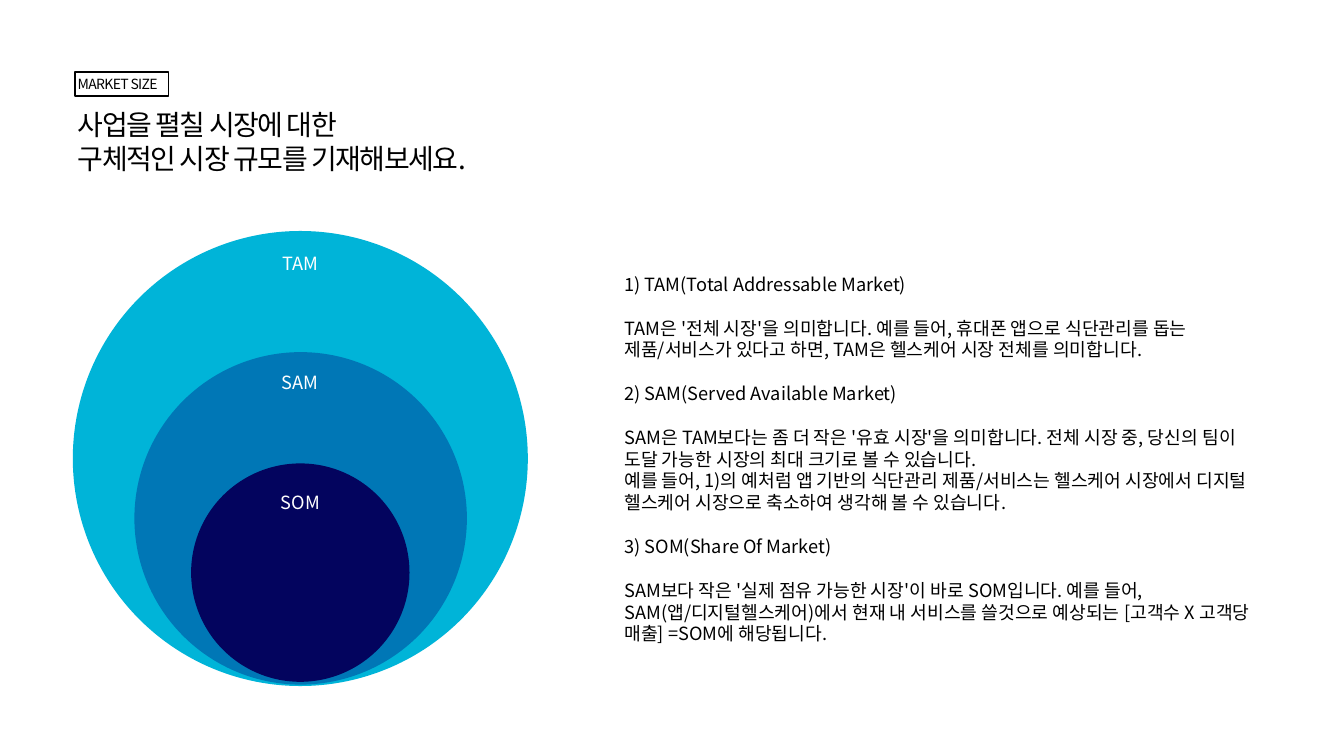
from dataclasses import dataclass

from pptx import Presentation
from pptx.dml.color import RGBColor
from pptx.enum.shapes import MSO_SHAPE
from pptx.enum.text import MSO_ANCHOR, MSO_AUTO_SIZE, PP_ALIGN
from pptx.oxml.ns import qn
from pptx.util import Emu, Pt

RECTANGLE, OVAL = MSO_SHAPE.RECTANGLE, MSO_SHAPE.OVAL
TOP, MIDDLE = MSO_ANCHOR.TOP, MSO_ANCHOR.MIDDLE
LEFT, CENTER = PP_ALIGN.LEFT, PP_ALIGN.CENTER
EMU_PER_PX = 12700  # 72 px to the inch
TITLE_ONLY = 5


@dataclass(frozen=True)
class Theme:
    font: str = "Noto Sans CJK KR"
    ink: str = "000000"
    paper: str = "FFFFFF"
    tam: str = "00B4D8"
    sam: str = "0077B6"
    som: str = "03045E"
    title_size: int = 40
    tag_size: int = 20
    body_size: int = 26
    leading: float = 1.2


def px(length):
    return Emu(length * EMU_PER_PX)


class SlideBuilder:
    def __init__(self, slide, theme):
        self.slide, self.theme = slide, theme

    def set_text(self, shape, lines, size, color, align=LEFT, anchor=MIDDLE, wrap=True, tracking=0):
        """Fill a shape with one paragraph per line; tracking is in points."""
        frame = shape.text_frame
        frame.text = "\n".join(lines)
        frame.word_wrap = wrap
        frame.auto_size = MSO_AUTO_SIZE.NONE
        frame.vertical_anchor = anchor
        frame.margin_left = frame.margin_right = px(4)
        frame.margin_top = frame.margin_bottom = px(4)
        for paragraph in frame.paragraphs:
            paragraph.alignment = align
            paragraph.line_spacing = Pt(size * self.theme.leading)
            paragraph.font.size = Pt(size)
            paragraph.font.name = self.theme.font
            paragraph.font.color.rgb = RGBColor.from_string(color)
            for run in paragraph.runs:
                properties = run._r.get_or_add_rPr()
                if tracking:
                    properties.set("spc", str(tracking * 100))
                properties.append(properties.makeelement(qn("a:ea"), {"typeface": self.theme.font}))
        return frame.paragraphs

    def title(self, left, top, width, height, lines):
        title = self.slide.shapes.title
        title.left, title.top, title.width, title.height = map(px, (left, top, width, height))
        self.set_text(title, lines, self.theme.title_size, self.theme.ink, anchor=TOP, tracking=-2)

    def tag(self, left, top, width, height, label):
        tag = self.slide.shapes.add_shape(RECTANGLE, *map(px, (left, top, width, height)))
        tag.shadow.inherit = False
        tag.fill.background()
        tag.line.color.rgb = RGBColor.from_string(self.theme.ink)
        tag.line.width = Pt(2)
        self.set_text(tag, [label], self.theme.tag_size, self.theme.ink, wrap=False, tracking=-1)

    def circle(self, center_x, top, diameter, color):
        left = center_x - diameter // 2
        circle = self.slide.shapes.add_shape(OVAL, *map(px, (left, top, diameter, diameter)))
        circle.shadow.inherit = False
        circle.fill.solid()
        circle.fill.fore_color.rgb = RGBColor.from_string(color)
        circle.line.fill.background()

    def text(self, left, top, width, height, lines, color, **style):
        box = self.slide.shapes.add_textbox(*map(px, (left, top, width, height)))
        return self.set_text(box, lines, self.theme.body_size, color, **style)

    def sections(self, left, top, width, height, sections):
        """Add headed sections with one line of space around each heading."""
        lines = [line for heading, body in sections for line in (heading, *body)]
        headings = {heading for heading, _ in sections}
        gap = Pt(self.theme.body_size * self.theme.leading)
        paragraphs = self.text(left, top, width, height, lines, self.theme.ink)
        for index, paragraph in enumerate(paragraphs):
            if paragraph.text in headings:
                paragraph.space_after = gap
                if index:
                    paragraph.space_before = gap


SECTIONS = [
    ("1) TAM(Total Addressable Market)", [
        "TAM은 '전체 시장'을 의미합니다. 예를 들어, 휴대폰 앱으로 식단관리를 돕는 "
        "제품/서비스가 있다고 하면, TAM은 헬스케어 시장 전체를 의미합니다.",
    ]),
    ("2) SAM(Served Available Market)", [
        "SAM은 TAM보다는 좀 더 작은 '유효 시장'을 의미합니다. 전체 시장 중, 당신의 "
        "팀이 도달 가능한 시장의 최대 크기로 볼 수 있습니다.",
        "예를 들어, 1)의 예처럼 앱 기반의 식단관리 제품/서비스는 헬스케어 시장에서 "
        "디지털 헬스케어 시장으로 축소하여 생각해 볼 수 있습니다.",
    ]),
    ("3) SOM(Share Of Market)", [
        "SAM보다 작은 '실제 점유 가능한 시장'이 바로 SOM입니다. 예를 들어, "
        "SAM(앱/디지털헬스케어)에서 현재 내 서비스를 쓸것으로 예상되는 [고객수 X "
        "고객당 매출] =SOM에 해당됩니다.",
    ]),
]


def main():
    theme = Theme()
    deck = Presentation()
    deck.slide_width, deck.slide_height = px(1920), px(1080)
    builder = SlideBuilder(deck.slides.add_slide(deck.slide_layouts[TITLE_ONLY]), theme)

    builder.title(107, 150, 1706, 104, ["사업을 펼칠 시장에 대한", "구체적인 시장 규모를 기재해보세요."])
    builder.tag(107, 103, 134, 34, "MARKET SIZE")

    center_x = 429
    markets = [
        ("TAM", 330, 650, theme.tam),
        ("SAM", 503, 475, theme.sam),
        ("SOM", 662, 312, theme.som),
    ]
    for _, top, diameter, color in markets:
        builder.circle(center_x, top, diameter, color)

    builder.sections(888, 388, 907, 535, SECTIONS)

    label_top, label_step, label_width = 356, 171, 66
    for index, (name, *_) in enumerate(markets):
        builder.text(center_x - label_width // 2, label_top + index * label_step, label_width, 39,
                     [name], theme.paper, align=CENTER, wrap=False)

    deck.save("out.pptx")


if __name__ == "__main__":
    main()
